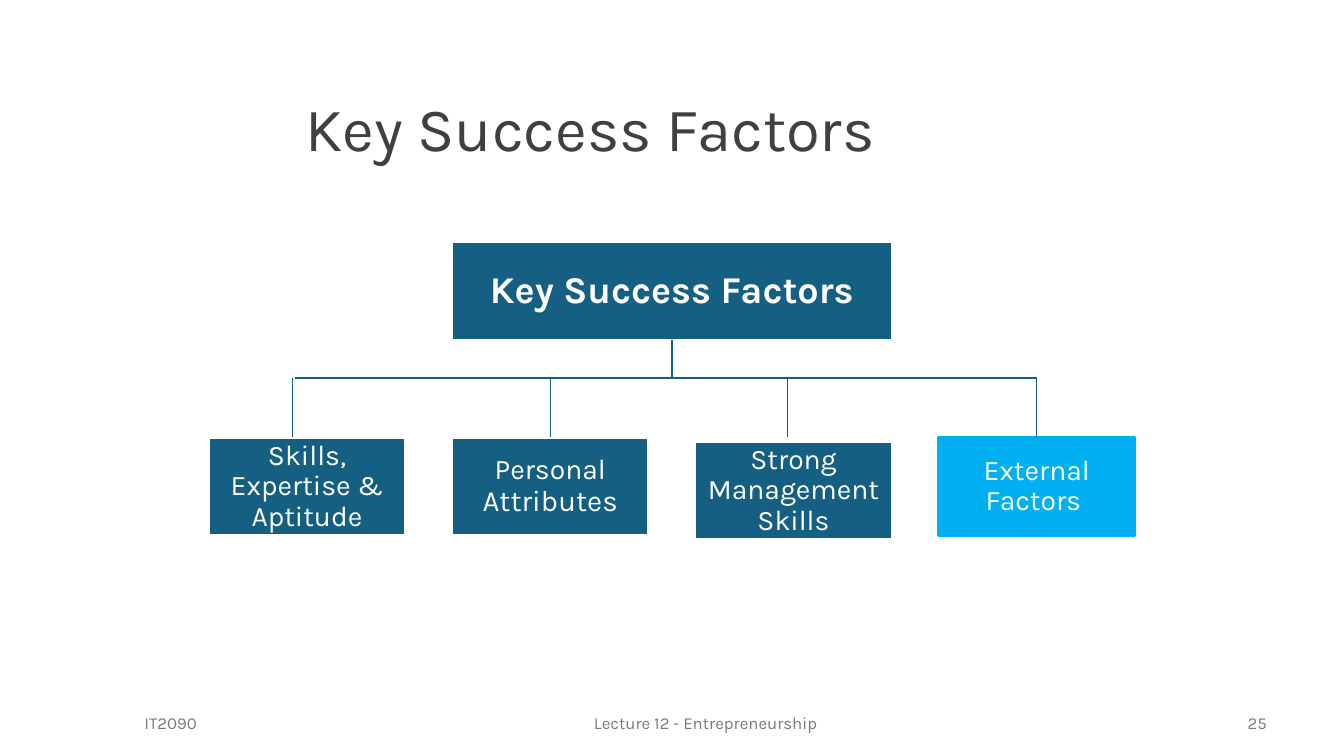
import pptx
import pptx.util
import pptx.dml.color
import pptx.enum.shapes
import pptx.enum.text
import pptx.oxml.ns
import lxml.etree

COLORS = {
    "title": "404040",
    "navy": "156082",
    "sky": "00B0F0",
    "white": "FFFFFF",
    "footer": "797979",
}
FONT = "Karla"
SLIDE_WIDTH = pptx.util.Inches(13.33)
SLIDE_HEIGHT = pptx.util.Inches(7.5)
ALIGN = pptx.enum.text.PP_ALIGN

BOX_WIDTH, BOX_HEIGHT = 14.62, 12.97
FIRST_LEFT, BOX_PITCH = 15.53, 18.1
ROOT_TOP, BAR_ROW = 32.07, 50
BAR_START, BAR_END = 21.98, 77.14

FACTORS = [
    ([("Skills, Expertise & Aptitude", 20.2)], 57.87, "navy", "white", 21.75),
    ([("Personal ", 20.2), ("Attributes", 21)], 57.87, "navy", "white", None),
    ([("Strong Management Skills", 20.2)], 58.4, "navy", "white", 58.58),
    ([("External Factors ", 20.2)], 57.87, "sky", "sky", None),
]
FOOTERS = [
    ("IT2090", 10, 20.83, ALIGN.LEFT),
    ("Lecture 12 - Entrepreneurship", 36.67, 31.67, ALIGN.CENTER),
    ("25", 74.17, 20.83, ALIGN.RIGHT),
]


def across(percent):
    return round(SLIDE_WIDTH * percent / 100)


def down(percent):
    return round(SLIDE_HEIGHT * percent / 100)


def area(left, top, width, height):
    return across(left), down(top), across(width), down(height)


def rgb(name):
    return pptx.dml.color.RGBColor.from_string(COLORS[name])


def write(frame, runs, color, align, bold=False, spacing=None):
    frame.word_wrap = True
    frame.vertical_anchor = pptx.enum.text.MSO_ANCHOR.MIDDLE
    paragraph = frame.paragraphs[0]
    paragraph.alignment = align
    paragraph.line_spacing = spacing
    for words, size in runs:
        run = paragraph.add_run()
        run.text = words
        run.font.name = FONT
        run.font.size = pptx.util.Pt(size)
        run.font.bold = bold
        run.font.color.rgb = rgb(color)


def add_label(slide, place, words, size, color, align, spacing=None):
    label = slide.shapes.add_textbox(*area(*place))
    write(label.text_frame, [(words, size)], color, align, spacing=spacing)


def add_box(slide, place, runs, fill, outline, bold=False):
    box = slide.shapes.add_shape(
        pptx.enum.shapes.MSO_SHAPE.RECTANGLE, *area(*place))
    box.shadow.inherit = False
    box.fill.solid()
    box.fill.fore_color.rgb = rgb(fill)
    box.line.color.rgb = rgb(outline)
    box.line.width = pptx.util.Pt(1.5)
    frame = box.text_frame
    frame.margin_left = frame.margin_right = pptx.util.Inches(0.01)
    frame.margin_top = frame.margin_bottom = pptx.util.Inches(0.01)
    write(frame, runs, "white", ALIGN.CENTER, bold, 0.9)
    return box


def add_branch(slide, start, end):
    branch = slide.shapes.add_connector(
        pptx.enum.shapes.MSO_CONNECTOR.STRAIGHT,
        across(start[0]), down(start[1]), across(end[0]), down(end[1]))
    branch.line.color.rgb = rgb("navy")
    branch.line.width = pptx.util.Pt(1)
    lxml.etree.SubElement(
        branch._element.spPr, pptx.oxml.ns.qn("a:effectLst"))
    return branch


def add_factor_tree(slide):
    drops = []
    for index, (runs, top, fill, outline, drop) in enumerate(FACTORS):
        left = FIRST_LEFT + index * BOX_PITCH
        box = add_box(slide, (left, top, BOX_WIDTH, BOX_HEIGHT),
                      runs, fill, outline)
        drops.append((box, left + BOX_WIDTH / 2, drop))

    root_left = FIRST_LEFT + BOX_PITCH
    root_width = BOX_PITCH + BOX_WIDTH
    root = add_box(slide, (root_left, ROOT_TOP, root_width, BOX_HEIGHT),
                   [("Key Success Factors", 27)], "navy", "white", True)

    add_branch(slide, (BAR_START, BAR_ROW), (BAR_END, BAR_ROW))
    middle = root_left + root_width / 2
    trunk = add_branch(slide, (middle, ROOT_TOP + BOX_HEIGHT),
                       (middle, BAR_ROW))
    trunk.begin_connect(root, 2)
    for box, center, drop in drops:
        column = center if drop is None else drop
        branch = add_branch(slide, (column, BAR_ROW), (column, 57.87))
        if drop is None:
            branch.end_connect(box, 0)


def main():
    deck = pptx.Presentation()
    deck.slide_width = SLIDE_WIDTH
    deck.slide_height = SLIDE_HEIGHT
    slide = deck.slides.add_slide(deck.slide_layouts[6])
    add_label(slide, (21.98, 9.07, 63.9, 16.67), "Key Success Factors",
              44, "title", ALIGN.LEFT, 0.9)
    add_factor_tree(slide)
    for words, left, width, align in FOOTERS:
        add_label(slide, (left, 92.27, width, 6.67), words,
                  12, "footer", align)
    deck.save("out.pptx")


if __name__ == "__main__":
    main()
